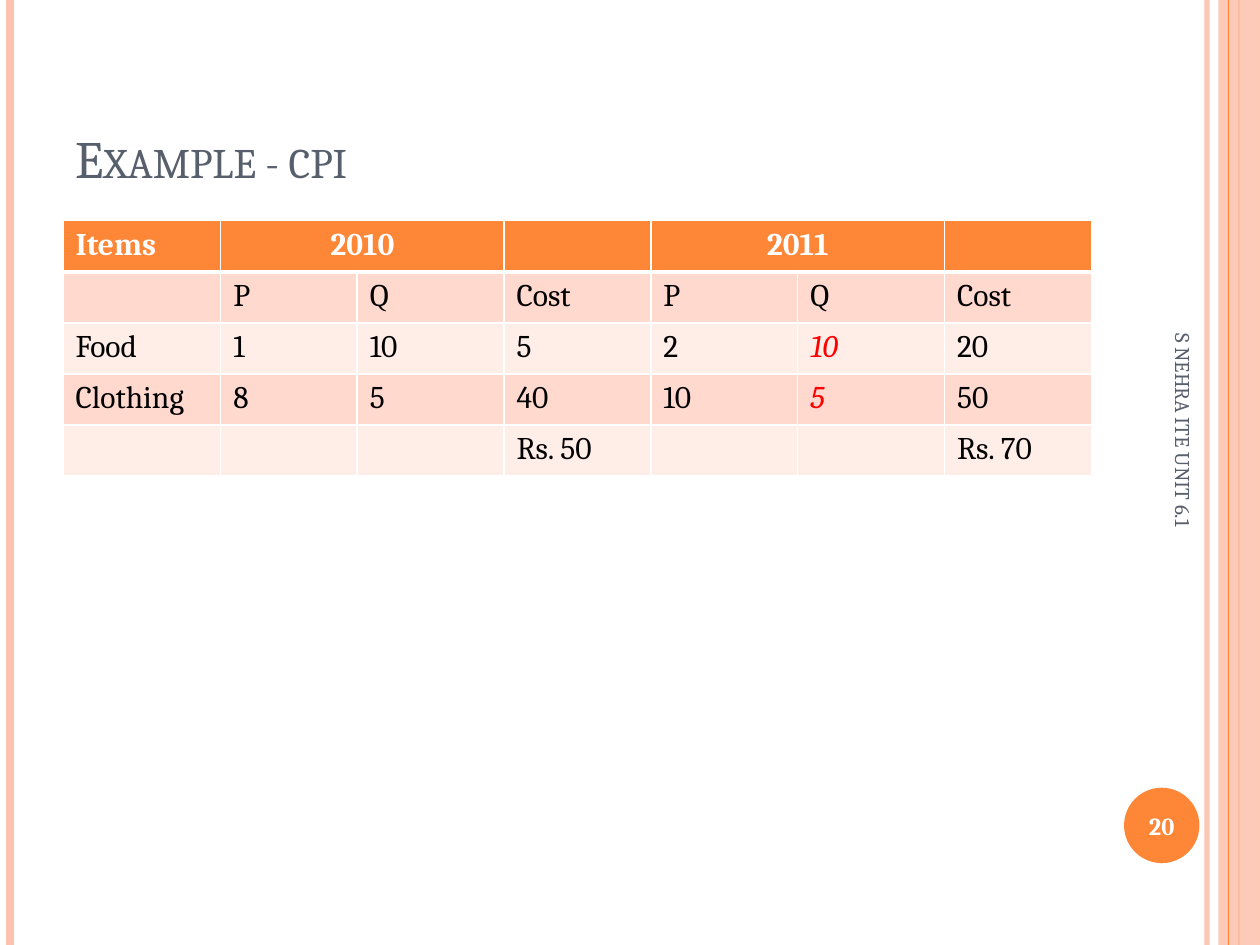
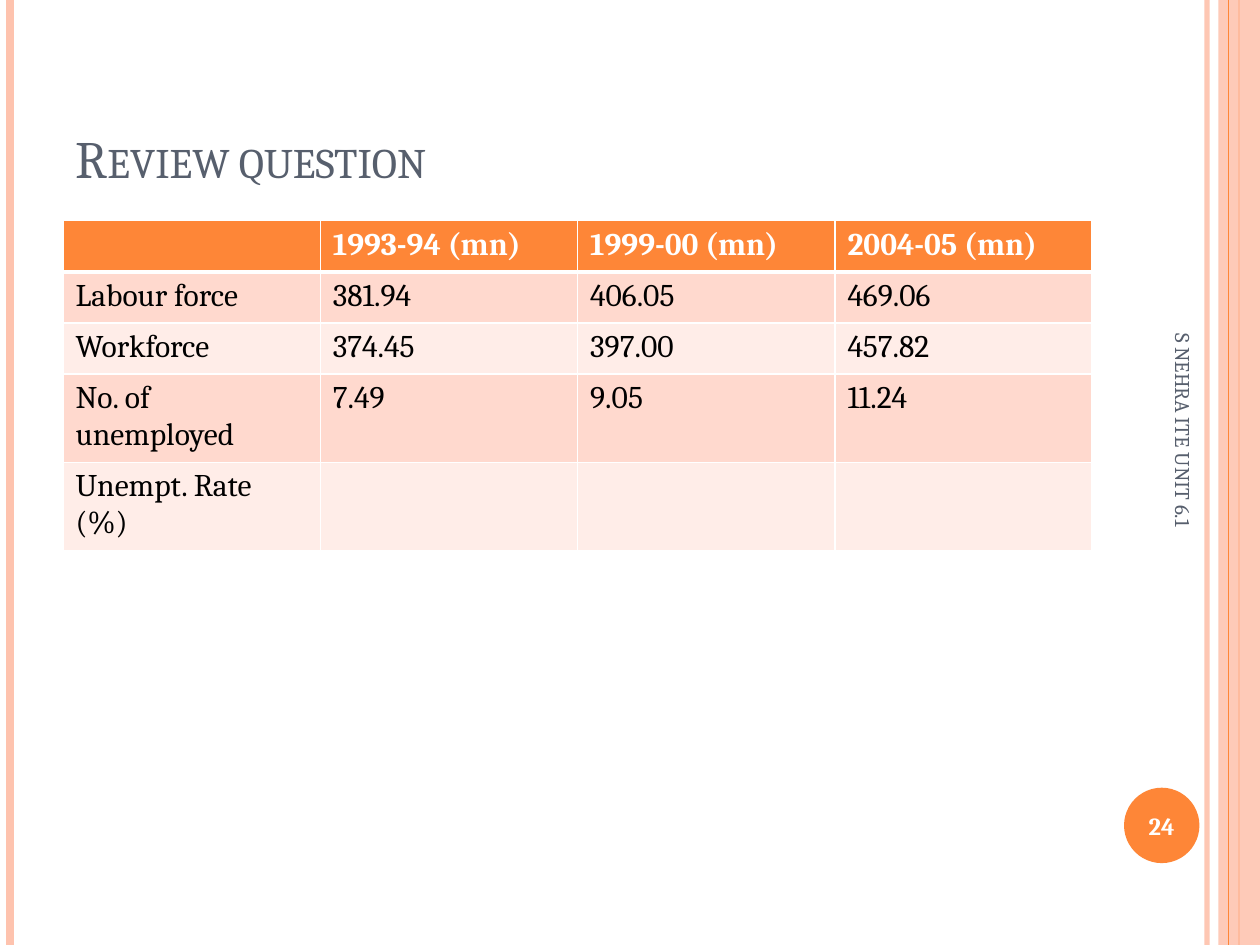
from dataclasses import dataclass

from lxml.etree import SubElement
from pptx import Presentation
from pptx.dml.color import RGBColor
from pptx.enum.shapes import MSO_CONNECTOR as Connector, MSO_SHAPE as Shape
from pptx.enum.text import MSO_ANCHOR as Anchor, PP_ALIGN as Align
from pptx.oxml.ns import qn
from pptx.util import Cm, Pt


@dataclass(frozen=True)
class Theme:
    font: str = "Cambria"
    accent: str = "FE8637"
    pale: str = "FEC3AE"
    slate: str = "575F6D"
    white: str = "FFFFFF"
    black: str = "000000"
    red: str = "FF0000"
    bands: tuple = ("FFD9CE", "FFEDE8")
    title_size: int = 30
    table_size: int = 18
    number_size: int = 14
    footer_size: int = 12
    grid_line: int = 1
    header_line: int = 3


@dataclass(frozen=True)
class Box:
    left: float
    top: float
    width: float
    height: float

    def lengths(self):
        return [Cm(v) for v in (self.left, self.top, self.width, self.height)]


THEME = Theme()
PAGE = Box(0, 0, 25.4, 19.05)
TITLE = Box(1.27, 0.76, 20.75, 3.18)
TABLE = Box(1.27, 4.45, 20.75, 5.2)
FOOTER = Box(19.41, 10.4, 8.89, 1.02)
BADGE = Box(22.66, 15.88, 1.52, 1.52)
ROW_HEIGHT = 1.03
FOOTER_TEXT = "S NEHRA ITE UNIT 6.1"

CPI_ROWS = [
    ["Items", "2010", "", "", "2011", "", ""],
    ["", "P", "Q", "Cost", "P", "Q", "Cost"],
    ["Food", "1", "10", "5", "2", "10", "20"],
    ["Clothing", "8", "5", "40", "10", "5", "50"],
    ["", "", "", "Rs. 50", "", "", "Rs. 70"],
]
CPI_WIDTHS = [3.18, 2.75] + [2.96] * 5
CPI_YEAR_COLUMNS = (1, 4)
CPI_FIXED_QUANTITIES = {(2, 5), (3, 5)}

LABOUR_ROWS = [
    ["", "1993-94 (mn)", "1999-00 (mn)", "2004-05 (mn)"],
    ["Labour force", "381.94", "406.05", "469.06"],
    ["Workforce", "374.45", "397.00", "457.82"],
    ["No. of unemployed", "7.49", "9.05", "11.24"],
    ["Unempt. Rate (%)", "", "", ""],
]
LABOUR_WIDTHS = [TABLE.width / 4] * 4


def rgb(colour):
    return RGBColor.from_string(colour)


def set_alpha(fill_parent, percent):
    colour = next(fill_parent.iter(qn("a:srgbClr")))
    SubElement(colour, qn("a:alpha"), val=str(percent * 1000))


def write(frame, text, size, colour, bold=False, italic=False, align=None):
    frame.text = text
    paragraph = frame.paragraphs[0]
    if align is not None:
        paragraph.alignment = align
    for run in paragraph.runs:
        run.font.name = THEME.font
        run.font.size = Pt(size)
        run.font.color.rgb = rgb(colour)
        run.font.bold = bold
        run.font.italic = italic
    return paragraph


def add_label(slide, box, anchor):
    label = slide.shapes.add_textbox(*box.lengths())
    label.text_frame.word_wrap = True
    label.text_frame.vertical_anchor = anchor
    return label


def add_stripe(slide, box, x, colour, width, opacity=100):
    stripe = slide.shapes.add_connector(
        Connector.STRAIGHT, Cm(box.left + x), Cm(box.top),
        Cm(box.left + x), Cm(box.top + box.height))
    stripe.line.color.rgb = rgb(colour)
    stripe.line.width = Pt(width)
    properties = stripe.line._get_or_add_ln().getparent()
    SubElement(properties, qn("a:effectLst"))
    if opacity < 100:
        set_alpha(properties, opacity)


def add_solid(slide, kind, box, colour):
    solid = slide.shapes.add_shape(kind, *box.lengths())
    solid.shadow.inherit = False
    solid.fill.solid()
    solid.fill.fore_color.rgb = rgb(colour)
    solid.line.fill.background()
    return solid


def draw_frame(slide, box):
    add_stripe(slide, box, 24.33, THEME.pale, 3, 93)
    add_stripe(slide, box, 0.21, THEME.pale, 4.5)
    add_stripe(slide, box, 24.98, THEME.accent, 1.5)
    band_width = 0.84
    right_band = Box(box.left + box.width - band_width, box.top, band_width, box.height)
    band = add_solid(slide, Shape.RECTANGLE, right_band, THEME.pale)
    set_alpha(band._element.spPr, 87)
    add_stripe(slide, box, 24.77, THEME.accent, 0.75)


def draw_title(slide, box, text):
    title = add_label(slide, box, Anchor.BOTTOM)
    heading = write(title.text_frame, text, THEME.title_size, THEME.slate)
    heading.runs[0]._r.get_or_add_rPr().set("cap", "small")


def draw_footer(slide, box):
    footer = add_label(slide, box, Anchor.MIDDLE)
    footer.rotation = 90
    write(footer.text_frame, FOOTER_TEXT, THEME.footer_size, THEME.slate)


def draw_badge(slide, box, number):
    add_solid(slide, Shape.OVAL, box, THEME.accent)
    margin = 0.08
    number_box = Box(box.left - margin, box.top + margin / 2,
                     box.width + 2 * margin, box.height - margin)
    label = add_label(slide, number_box, Anchor.MIDDLE)
    write(label.text_frame, str(number), THEME.number_size, THEME.white,
          bold=True, align=Align.CENTER)


def set_borders(cell, row):
    widths = {"L": THEME.grid_line, "R": THEME.grid_line,
              "T": THEME.header_line if row == 1 else THEME.grid_line,
              "B": THEME.header_line if row == 0 else THEME.grid_line}
    properties = cell._tc.get_or_add_tcPr()
    for side, width in widths.items():
        border = SubElement(properties, qn(f"a:ln{side}"), w=str(Pt(width)))
        fill = SubElement(border, qn("a:solidFill"))
        SubElement(fill, qn("a:srgbClr"), val=THEME.white)


def draw_table(slide, box, rows, widths, year_columns=(), highlights=()):
    table = slide.shapes.add_table(len(rows), len(widths), *box.lengths()).table
    table.first_row = False
    table.horz_banding = False
    for column, width in zip(table.columns, widths):
        column.width = Cm(width)
    for r, row in enumerate(rows):
        table.rows[r].height = Cm(ROW_HEIGHT)
        header = r == 0
        for c, text in enumerate(row):
            cell = table.cell(r, c)
            set_borders(cell, r)
            cell.fill.solid()
            cell.fill.fore_color.rgb = rgb(
                THEME.accent if header else THEME.bands[(r - 1) % 2])
            marked = (r, c) in highlights
            colour = THEME.white if header else THEME.red if marked else THEME.black
            align = Align.CENTER if header and c in year_columns else None
            write(cell.text_frame, text, THEME.table_size, colour,
                  bold=header, italic=marked, align=align)
    for c in year_columns:
        table.cell(0, c).merge(table.cell(0, c + 1))


def table_slide(deck, number, title, *table_content):
    slide = deck.slides.add_slide(deck.slide_layouts[6])
    draw_frame(slide, PAGE)
    draw_badge(slide, BADGE, number)
    draw_title(slide, TITLE, title)
    draw_table(slide, TABLE, *table_content)
    draw_footer(slide, FOOTER)


def main():
    deck = Presentation()
    deck.slide_width = Cm(PAGE.width)
    deck.slide_height = Cm(PAGE.height)
    table_slide(deck, 20, "Example - cpi", CPI_ROWS, CPI_WIDTHS,
                CPI_YEAR_COLUMNS, CPI_FIXED_QUANTITIES)
    table_slide(deck, 24, "Review question", LABOUR_ROWS, LABOUR_WIDTHS)
    deck.save("out.pptx")


if __name__ == "__main__":
    main()
